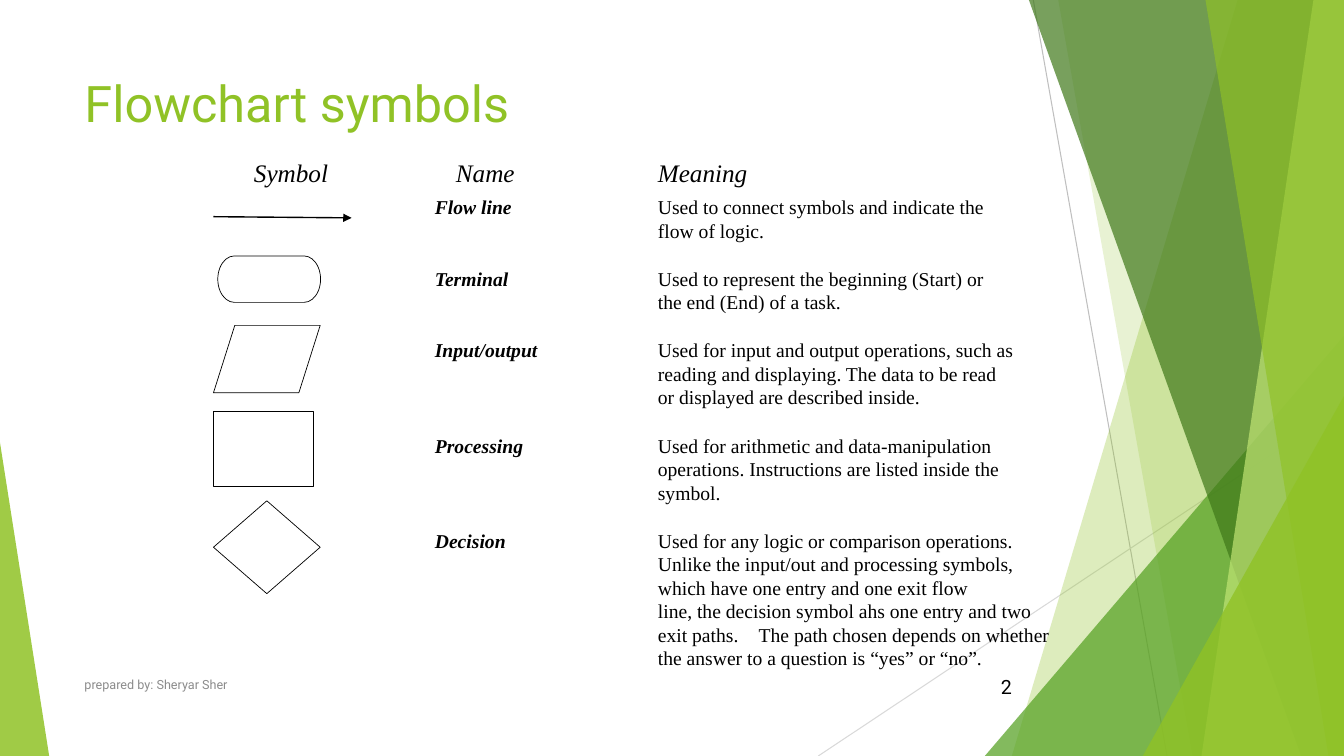
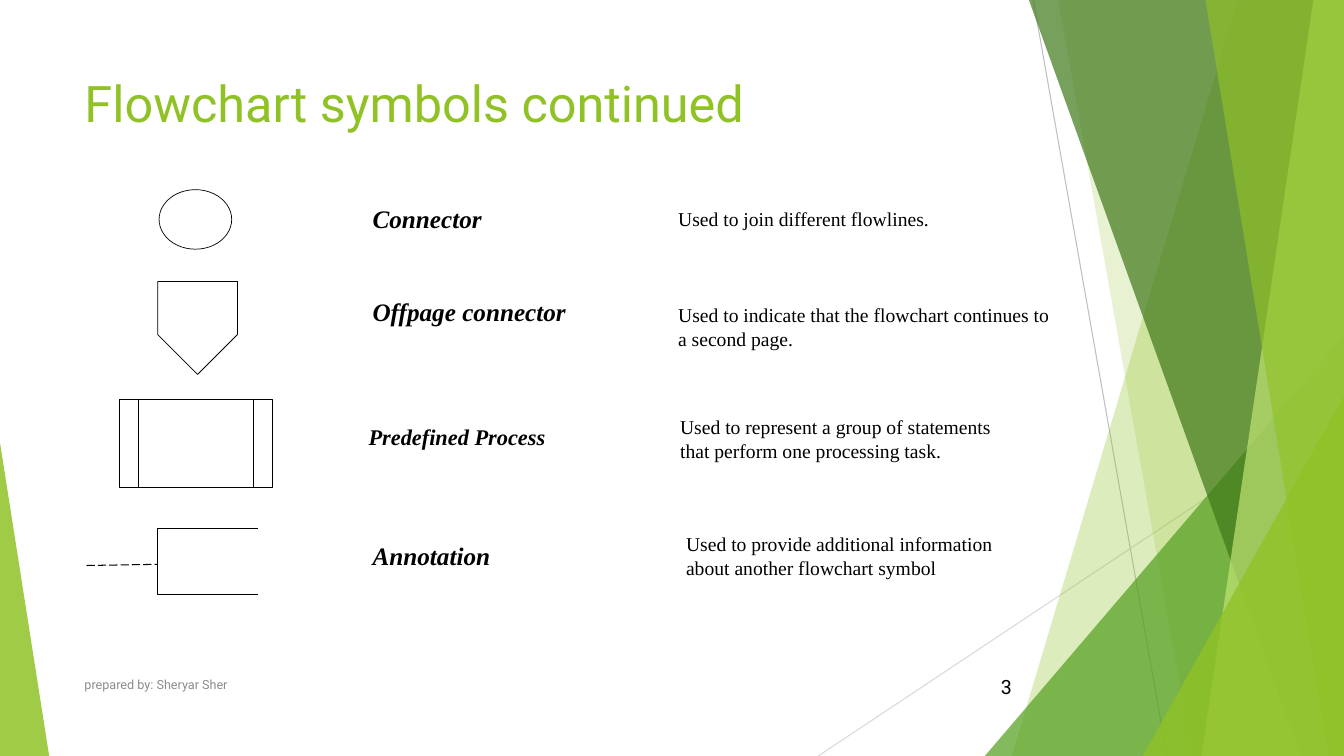
from lxml import etree
from pptx import Presentation
from pptx.dml.color import RGBColor
from pptx.enum import dml, shapes, text
from pptx.oxml.ns import qn
from pptx.util import Cm, Pt

SHAPE = shapes.MSO_SHAPE
ANCHOR = text.MSO_ANCHOR
ALIGN = text.PP_ALIGN
STRAIGHT = shapes.MSO_CONNECTOR.STRAIGHT
WIDTH, HEIGHT = 33.87, 19.05
GREEN, BLACK, WHITE = "90C226", "000000", "FFFFFF"
SERIF, SANS = "Times New Roman", "Roboto"
NO_TABLE_STYLE = "{2D5ABB26-0587-4C30-8999-92F81FD0307C}"


def paint(shape, fill=None, opacity=100, line=None, weight=0.5):
    """Set fill and line of a shape or connector and remove its shadow."""
    if fill:
        shape.fill.solid()
        shape.fill.fore_color.rgb = RGBColor.from_string(fill)
        if opacity < 100:
            colour = shape._element.spPr.find(".//" + qn("a:srgbClr"))
            etree.SubElement(colour, qn("a:alpha"), val=str(opacity * 1000))
    elif hasattr(shape, "fill"):
        shape.fill.background()
    if line:
        shape.line.color.rgb = RGBColor.from_string(line)
        shape.line.width = Pt(weight)
    else:
        shape.line.fill.background()
    etree.SubElement(shape._element.spPr, qn("a:effectLst"))


def write(frame, content, size, font=SERIF, colour=BLACK, bold=False,
          italic=False, align=ALIGN.LEFT):
    frame.text = content
    paragraph = frame.paragraphs[0]
    paragraph.alignment = align
    if font == SERIF:
        paragraph.line_spacing = Pt(round(size * 1.2, 1))
    paragraph.font.name = font
    paragraph.font.size = Pt(size)
    paragraph.font.bold = bold
    paragraph.font.italic = italic
    paragraph.font.color.rgb = RGBColor.from_string(colour)


presentation = Presentation()
presentation.slide_width, presentation.slide_height = Cm(WIDTH), Cm(HEIGHT)

# Shared backdrop, title and footer
backdrop_lines = [
    (26.04, 0, 29.41, HEIGHT, "BFBFBF"),
    (WIDTH, 10.24, 20.62, HEIGHT, "D9D9D9"),
]
# A panel has top and bottom x of its left edge, a wedge has left and top
backdrop_facets = [
    ("panel", 31.19, 25.5, GREEN, 30),
    ("panel", 26.67, 30.05, GREEN, 20),
    ("wedge", 24.82, 8.46, "54A021", 72),
    ("panel", 25.93, 32.79, "3F7819", 70),
    ("panel", 33.1, 30.28, "C0E474", 70),
    ("panel", 30.38, 33.48, GREEN, 65),
    ("wedge", 28.8, 9.98, GREEN, 80),
]
slides = []
for number, title in enumerate(
        ["Flowchart symbols", "Flowchart symbols continued"], start=2):
    slide = presentation.slides.add_slide(presentation.slide_layouts[6])
    slides.append(slide)
    for x1, y1, x2, y2, colour in backdrop_lines:
        line = slide.shapes.add_connector(STRAIGHT, Cm(x1), Cm(y1), Cm(x2), Cm(y2))
        paint(line, line=colour, weight=0.75)
    for kind, first, second, colour, opacity in backdrop_facets:
        if kind == "panel":
            outline = slide.shapes.build_freeform(Cm(first), 0)
            outline.add_line_segments([(Cm(WIDTH), 0), (Cm(WIDTH), Cm(HEIGHT)),
                                       (Cm(second), Cm(HEIGHT))])
            facet = outline.convert_to_shape()
        else:
            facet = slide.shapes.add_shape(
                SHAPE.ISOSCELES_TRIANGLE, Cm(first), Cm(second),
                Cm(WIDTH - first), Cm(HEIGHT - second))
            facet.adjustments[0] = 1
        paint(facet, colour, opacity)
    left_wedge = slide.shapes.add_shape(
        SHAPE.ISOSCELES_TRIANGLE, 0, Cm(11.15), Cm(1.24), Cm(7.9))
    left_wedge.adjustments[0] = 0
    paint(left_wedge, GREEN, 85)

    for content, left, top, width, height, size, colour, anchor, align in [
        (title, 1.88, 1.7, 23.6, 2.4, 36, GREEN, ANCHOR.TOP, ALIGN.LEFT),
        ("prepared by: Sheryar Sher", 1.88, 16.75, 17.5, 1.02, 9, "8C8C8C",
         ANCHOR.MIDDLE, ALIGN.LEFT),
        (str(number), 23.85, 16.79, 1.9, 1.02, 14, BLACK, ANCHOR.MIDDLE, ALIGN.RIGHT),
    ]:
        box = slide.shapes.add_textbox(Cm(left), Cm(top), Cm(width), Cm(height))
        box.text_frame.word_wrap = True
        box.text_frame.vertical_anchor = anchor
        write(box.text_frame, content, size, SANS, colour, align=align)

basic, continued = slides

# First slide: table of names and meanings
rows = [
    ("Symbol", "Name", "Meaning"),
    ("", "Flow line", "Used to connect symbols and indicate the\vflow of logic."),
    ("", "Terminal",
     "Used to represent the beginning (Start) or\vthe end (End) of a task."),
    ("", "Input/output",
     "Used for input and output operations, such as\v"
     "reading and displaying. The data to be read\v"
     "or displayed are described inside."),
    ("", "Processing",
     "Used for arithmetic and data-manipulation\v"
     "operations. Instructions are listed inside the\vsymbol."),
    ("", "Decision",
     "Used for any logic or comparison operations.\v"
     "Unlike the input/out and processing symbols,\v"
     "which have one entry and one exit flow\v"
     "line, the decision symbol ahs one entry and two\v"
     "exit paths.\tThe path chosen depends on whether\v"
     "the answer to a question is “yes” or “no”."),
]
column_widths = [5.56, 5.62, 10.4]
heading_indents = [1, 0.53, 0]
heading_height, line_height = 0.95, 0.6
row_heights = [heading_height] + [
    line_height * (meaning.count("\v") + 2) for _, _, meaning in rows[1:]]
table_shape = basic.shapes.add_table(
    len(rows), len(column_widths), Cm(5.4), Cm(3.98),
    Cm(sum(column_widths)), Cm(sum(row_heights)))
table = table_shape.table
table.horz_banding = table.first_row = False
table._tbl.tblPr.find(qn("a:tableStyleId")).text = NO_TABLE_STYLE
for column, width in zip(table.columns, column_widths):
    column.width = Cm(width)
for row_index, (row, height) in enumerate(zip(rows, row_heights)):
    table.rows[row_index].height = Cm(height)
    heading = row_index == 0
    for column_index, content in enumerate(row):
        cell = table.cell(row_index, column_index)
        cell.fill.background()
        cell.margin_top = cell.margin_bottom = cell.margin_right = 0
        cell.margin_left = Cm(heading_indents[column_index] if heading else 0)
        is_name = column_index == 1
        write(cell.text_frame, content, 18 if heading else 14,
              bold=is_name and not heading, italic=heading or is_name)

flow_line = basic.shapes.add_connector(STRAIGHT, Cm(5.38), Cm(5.46), Cm(8.86), Cm(5.49))
paint(flow_line, line=BLACK, weight=1)
etree.SubElement(flow_line.line._ln, qn("a:tailEnd"), type="triangle")

# Symbols of both slides
for slide, kind, left, top, width, height, rotation in [
    (basic, SHAPE.FLOWCHART_TERMINATOR, 5.49, 6.45, 2.59, 1.17, 0),
    (basic, SHAPE.FLOWCHART_DATA, 5.38, 8.2, 2.69, 1.7, 0),
    (basic, SHAPE.RECTANGLE, 5.38, 10.36, 2.51, 1.9, 0),
    (basic, SHAPE.FLOWCHART_DECISION, 5.38, 12.62, 2.69, 2.34, 0),
    (continued, SHAPE.OVAL, 4.01, 4.78, 1.83, 1.5, 0),
    (continued, SHAPE.PENTAGON, 3.81, 7.26, 2.34, 2.01, 90),
    (continued, SHAPE.FLOWCHART_PREDEFINED_PROCESS, 3, 10.06, 3.86, 2.21, 0),
]:
    symbol = slide.shapes.add_shape(kind, Cm(left), Cm(top), Cm(width), Cm(height))
    symbol.rotation = rotation
    paint(symbol, WHITE, line=BLACK)

# Second slide: annotation bracket with its dashed line
bracket_outline = continued.shapes.build_freeform(Cm(6.5), Cm(13.31))
bracket_outline.add_line_segments(
    [(Cm(3.96), Cm(13.31)), (Cm(3.96), Cm(14.97)), (Cm(6.5), Cm(14.97))], close=False)
paint(bracket_outline.convert_to_shape(), line=BLACK)
dashes = continued.shapes.add_connector(
    STRAIGHT, Cm(2.18), Cm(14.25), Cm(3.96), Cm(14.22))
paint(dashes, line=BLACK, weight=0.75)
dashes.line.dash_style = dml.MSO_LINE.LONG_DASH

# Second slide: names and meanings
for content, left, top, width, height, size, is_name in [
    ("Connector", 9.14, 5, 4.83, 1.02, 18, True),
    ("Used to join different flowlines.", 16.84, 5.08, 9.04, 0.86, 14, False),
    ("Offpage connector", 9.14, 7.34, 5.92, 1.02, 18, True),
    ("Used to indicate that the flowchart continues to a second page.",
     16.84, 7.52, 9.95, 1.45, 14, False),
    ("Predefined Process", 9.04, 10.54, 6.05, 0.94, 16, True),
    ("Used to represent a group of statements that perform one processing task.",
     16.89, 10.34, 8.64, 1.45, 14, False),
    ("Annotation", 9.14, 13.49, 4.39, 1.02, 18, True),
    ("Used to provide additional information about another flowchart symbol",
     17.04, 13.28, 8.31, 1.45, 14, False),
]:
    box = continued.shapes.add_textbox(Cm(left), Cm(top), Cm(width), Cm(height))
    box.text_frame.word_wrap = True
    write(box.text_frame, content, size, bold=is_name, italic=is_name)

presentation.save("out.pptx")
